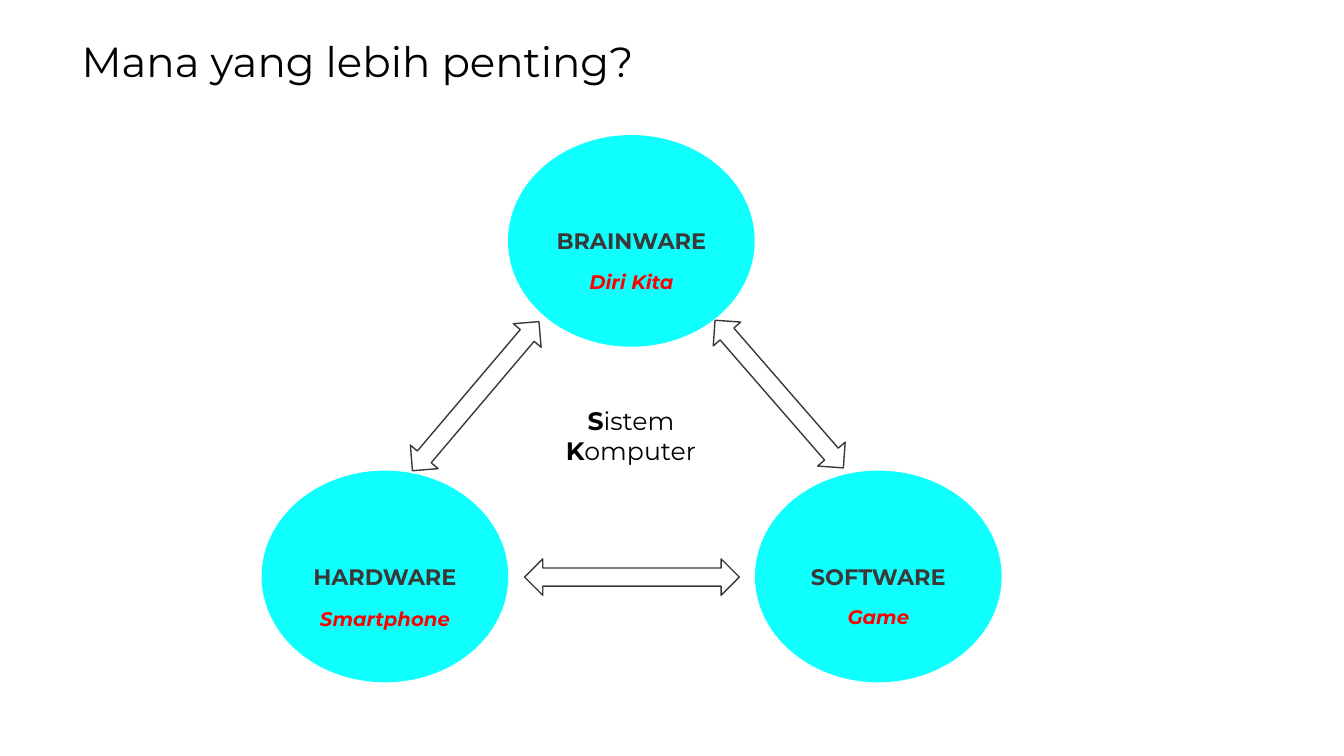
from pptx import Presentation
from pptx.dml.color import RGBColor
from pptx.enum.shapes import MSO_SHAPE
from pptx.enum.text import MSO_ANCHOR, MSO_AUTO_SIZE, PP_ALIGN
from pptx.util import Pt

FONT = "Montserrat"
COLORS = {"black": "000000", "white": "FFFFFF", "cyan": "0FFFFF",
          "gray": "3B3838", "red": "FF0000"}
NODE_W, NODE_H = 176.2, 151.2
CAPTION_W, CAPTION_H = 110, 24.5
ARROW_W = 26

NODES = [
    ("BRAINWARE", "Diri Kita", 451, 96.5, 92.9),
    ("HARDWARE", "Smartphone", 275, 336.2, 93.7),
    ("SOFTWARE", "Game", 627.4, 336.2, 92.2),
]
ARROWS = [
    (339.8, 283, 139.7, 40.3),
    (451.4, 412.2, 153.4, 90),
    (556.6, 281.5, 139.7, 319),
]


def rgb(name):
    return RGBColor.from_string(COLORS[name])


def add_run(p, text, size, color, bold=False, italic=False):
    r = p.add_run()
    r.text = text
    r.font.name = FONT
    r.font.size = Pt(size)
    r.font.color.rgb = rgb(color)
    r.font.bold = bold
    r.font.italic = italic


def place_title(s, text):
    sp = s.shapes.title
    sp.left, sp.top, sp.width, sp.height = Pt(51.1), Pt(16.6), Pt(828), Pt(57.6)
    tf = sp.text_frame
    tf.auto_size = MSO_AUTO_SIZE.NONE
    tf.vertical_anchor = MSO_ANCHOR.MIDDLE
    p = tf.paragraphs[0]
    p.alignment = PP_ALIGN.LEFT
    p.line_spacing = 0.9
    add_run(p, text, 30, "black")


def add_preset(s, kind, x, y, w, h, fill, line=None):
    sp = s.shapes.add_shape(kind, Pt(x), Pt(y), Pt(w), Pt(h))
    sp.shadow.inherit = False
    sp.fill.solid()
    sp.fill.fore_color.rgb = rgb(fill)
    if line:
        sp.line.color.rgb = rgb(line)
        sp.line.width = Pt(1)
    else:
        sp.line.fill.background()
    return sp


def add_node(s, name, cx, top):
    sp = add_preset(s, MSO_SHAPE.OVAL, cx - NODE_W / 2, top, NODE_W, NODE_H, "cyan")
    tf = sp.text_frame
    tf.vertical_anchor = MSO_ANCHOR.MIDDLE
    p = tf.paragraphs[0]
    p.alignment = PP_ALIGN.CENTER
    add_run(p, name, 16, "gray", bold=True)


def add_arrow(s, cx, cy, length, angle):
    sp = add_preset(s, MSO_SHAPE.UP_DOWN_ARROW, cx - ARROW_W / 2, cy - length / 2,
                    ARROW_W, length, "white", "gray")
    sp.rotation = angle


def add_textbox(s, cx, top, w, h, wrap=True):
    sp = s.shapes.add_textbox(Pt(cx - w / 2), Pt(top), Pt(w), Pt(h))
    tf = sp.text_frame
    tf.word_wrap = wrap
    tf.auto_size = MSO_AUTO_SIZE.SHAPE_TO_FIT_TEXT
    tf.paragraphs[0].alignment = PP_ALIGN.CENTER
    return tf


def add_center_label(s):
    tf = add_textbox(s, 450.7, 285.8, 108, 51, wrap=False)
    second = tf.add_paragraph()
    second.alignment = PP_ALIGN.CENTER
    for p, word in zip(tf.paragraphs, ("Sistem", "Komputer")):
        add_run(p, word[0], 18, "black", bold=True)
        add_run(p, word[1:], 18, "black")


def add_caption(s, text, cx, top):
    tf = add_textbox(s, cx, top, CAPTION_W, CAPTION_H)
    add_run(tf.paragraphs[0], text, 14, "red", bold=True, italic=True)


def main():
    prs = Presentation()
    prs.slide_width, prs.slide_height = Pt(960), Pt(540)
    s = prs.slides.add_slide(prs.slide_layouts[5])
    place_title(s, "Mana yang lebih penting?")
    for name, _, cx, top, _ in NODES:
        add_node(s, name, cx, top)
    for arrow in ARROWS:
        add_arrow(s, *arrow)
    add_center_label(s)
    for _, example, cx, top, drop in NODES:
        add_caption(s, example, cx, top + drop)
    prs.save("out.pptx")


main()
